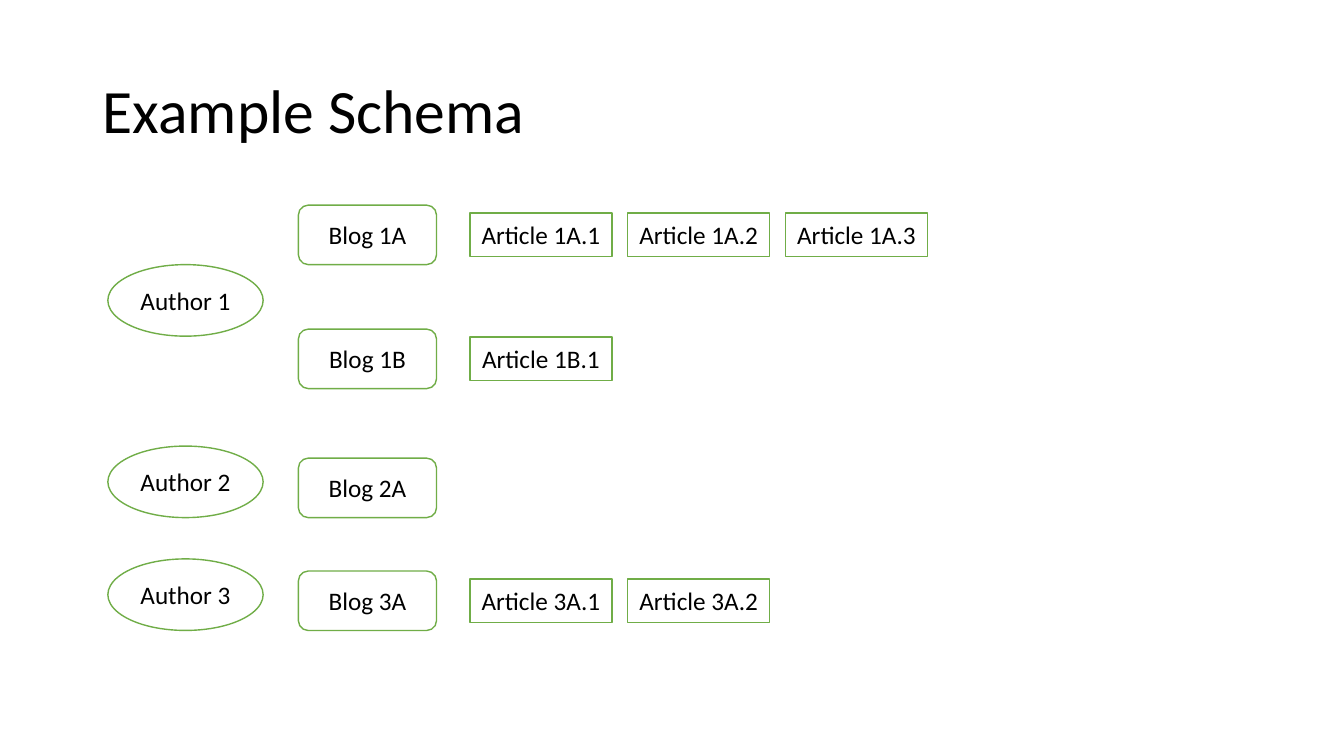
from dataclasses import dataclass

from pptx import Presentation
from pptx.dml.color import RGBColor
from pptx.enum.shapes import MSO_SHAPE as Preset
from pptx.enum.text import MSO_ANCHOR as Anchor, PP_ALIGN as Align
from pptx.slide import Slide
from pptx.text.text import TextFrame
from pptx.util import Inches, Pt

FONT = "Calibri"
BLACK, WHITE, GREEN = "000000", "FFFFFF", "70AD47"


@dataclass(frozen=True)
class Kind:
    """A column of equal boxes; further boxes follow at the given step."""
    preset: Preset
    left: float
    width: float
    height: float
    step: float = 0


@dataclass(frozen=True)
class Blog:
    name: str
    middle: float
    articles: int


@dataclass(frozen=True)
class Author:
    name: str
    middle: float
    blogs: tuple[Blog, ...]


AUTHOR = Kind(Preset.OVAL, 1.07, 1.54, 0.71)
BLOG = Kind(Preset.ROUNDED_RECTANGLE, 2.96, 1.37, 0.59)
ARTICLE = Kind(Preset.RECTANGLE, 4.66, 1.41, 0.43, step=1.565)

# Vertical middles of the rows, in inches
SCHEMA = (
    Author("1", 2.98, (Blog("1A", 2.33, 3), Blog("1B", 3.56, 1))),
    Author("2", 4.78, (Blog("2A", 4.84, 0),)),
    Author("3", 5.9, (Blog("3A", 5.96, 2),)),
)


def colour(value: str) -> RGBColor:
    return RGBColor.from_string(value)


def write(frame: TextFrame, text: str, size: int, align: Align,
          wrap: bool = False, spacing: float = 1.0) -> None:
    para = frame.paragraphs[0]
    span = para.add_run()
    formats = (
        (frame, {"word_wrap": wrap, "vertical_anchor": Anchor.MIDDLE}),
        (para, {"alignment": align, "line_spacing": spacing}),
        (span, {"text": text}),
        (span.font, {"name": FONT, "size": Pt(size)}),
        (span.font.color, {"rgb": colour(BLACK)}),
    )
    for target, values in formats:
        for name, value in values.items():
            setattr(target, name, value)


def draw(page: Slide, kind: Kind, text: str, middle: float,
         index: int = 0) -> None:
    box = page.shapes.add_shape(
        kind.preset,
        Inches(kind.left + index * kind.step),
        Inches(middle - kind.height / 2),
        Inches(kind.width),
        Inches(kind.height),
    )
    box.shadow.inherit = False
    box.fill.solid()
    box.fill.fore_color.rgb = colour(WHITE)
    box.line.color.rgb = colour(GREEN)
    box.line.width = Pt(1)
    write(box.text_frame, text, 18, Align.CENTER)


def main() -> None:
    deck = Presentation()
    deck.slide_width, deck.slide_height = Inches(13.33), Inches(7.5)
    page = deck.slides.add_slide(deck.slide_layouts[6])

    # Title
    title = page.shapes.add_textbox(
        Inches(0.92), Inches(0.4), Inches(11.5), Inches(1.45))
    write(title.text_frame, "Example Schema", 44, Align.LEFT,
          wrap=True, spacing=0.9)

    # Authors, their blogs, and the articles of each blog
    for author in SCHEMA:
        draw(page, AUTHOR, f"Author {author.name}", author.middle)
        for blog in author.blogs:
            draw(page, BLOG, f"Blog {blog.name}", blog.middle)
            for index in range(blog.articles):
                draw(page, ARTICLE, f"Article {blog.name}.{index + 1}",
                     blog.middle, index)

    deck.save("out.pptx")


if __name__ == "__main__":
    main()
